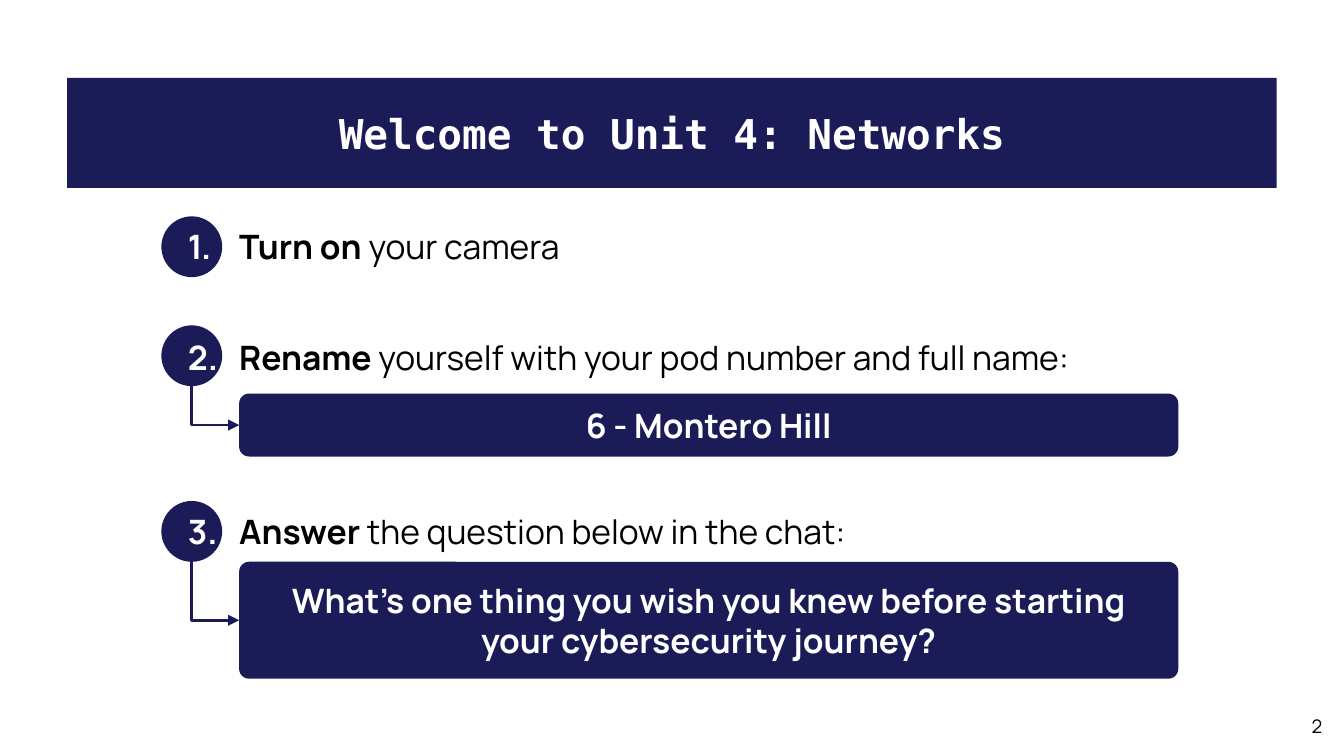
from dataclasses import dataclass
from typing import Optional

from lxml import etree
from pptx import Presentation
from pptx import util as u
from pptx.dml.color import RGBColor
from pptx.enum import shapes, text
from pptx.oxml import ns

COLORS = {"navy": "1B1C57", "white": "FFFFFF", "black": "000000"}
BODY_FONT = "Manrope"
TITLE_FONT = "DejaVu Sans Mono"
CIRCLE_LEFT, CIRCLE_SIZE = 3.05, 1.15
STEP_LEFT, STEP_WIDTH = 3.0, 19.3
ANSWER_LEFT, ANSWER_WIDTH, ANSWER_RADIUS = 4.52, 17.75, 0.19


@dataclass
class Answer:
    words: str
    top: float
    height: float


@dataclass
class Step:
    verb: str
    rest: str
    top: float
    height: float
    circle_top: float
    answer: Optional[Answer] = None


STEPS = [
    Step("Turn on ", "your camera", 3.68, 1.96, 4.09),
    Step("Rename ", "yourself with your pod number and full name:", 6.07, 1.37, 6.15,
         Answer("6 - Montero Hill", 7.44, 1.19)),
    Step("Answer ", "the question below in the chat:", 9.47, 1.14, 9.47,
         Answer("What's one thing you wish you knew before starting your cybersecurity journey?",
                10.62, 2.21)),
]


def color(name: str) -> RGBColor:
    return RGBColor.from_string(COLORS[name])


def add_element(parent, tag: str, **attributes: str):
    return etree.SubElement(parent, ns.qn(tag), attributes)


def place(shape, left: float, top: float, width: float, height: float) -> None:
    shape.left, shape.top = u.Cm(left), u.Cm(top)
    shape.width, shape.height = u.Cm(width), u.Cm(height)


def prepare_frame(shape):
    frame = shape.text_frame
    frame.word_wrap = True
    frame.auto_size = text.MSO_AUTO_SIZE.NONE
    frame.vertical_anchor = text.MSO_ANCHOR.MIDDLE
    frame.margin_left = frame.margin_right = u.Cm(0.25)
    frame.margin_top = frame.margin_bottom = u.Cm(0.25)
    para = frame.paragraphs[0]
    para.space_before = u.Pt(0)
    return para


def write(para, words: str, *, size: float = 18, font: str = BODY_FONT,
          fill: str = "white", bold: bool = True, align=text.PP_ALIGN.CENTER) -> None:
    para.alignment = align
    span = para.add_run()
    span.text = words
    span.font.size, span.font.name, span.font.bold = u.Pt(size), font, bold
    span.font.color.rgb = color(fill)


def paint(shape) -> None:
    shape.fill.solid()
    shape.fill.fore_color.rgb = color("navy")
    shape.line.fill.background()


def add_filled(page, kind, left: float, top: float, width: float, height: float):
    shape = page.shapes.add_shape(kind, *map(u.Cm, (left, top, width, height)))
    shape.shadow.inherit = False
    paint(shape)
    return shape


def fill_title(title) -> None:
    place(title, 1.27, 1.47, 22.86, 2.08)
    geometry = add_element(title.element.spPr, "a:prstGeom", prst="roundRect")
    guides = add_element(geometry, "a:avLst")
    add_element(guides, "a:gd", name="adj", fmla="val 15000")
    paint(title)
    write(prepare_frame(title), "Welcome to Unit 4: Networks", size=22, font=TITLE_FONT)


def add_arrow(page, left: float, top: float, right: float, bottom: float) -> None:
    across, down = right - left, bottom - top
    arrow = page.shapes.add_connector(
        shapes.MSO_CONNECTOR.ELBOW, *map(u.Cm, (left, top, right, bottom)))
    place(arrow, (left + right - down) / 2, (top + bottom - across) / 2, down, across)
    properties = arrow._element.spPr
    frame = properties.find(ns.qn("a:xfrm"))
    frame.set("rot", "16200000")
    frame.set("flipH", "1")
    properties.find(ns.qn("a:prstGeom")).set("prst", "bentConnector2")
    arrow.line.color.rgb = color("navy")
    arrow.line.width = u.Pt(1.5)
    add_element(properties.find(ns.qn("a:ln")), "a:tailEnd", type="triangle")
    add_element(properties, "a:effectLst")


def number_paragraph(para, number: int) -> None:
    properties = para._p.get_or_add_pPr()
    properties.set("marL", str(u.Cm(1.27)))
    properties.set("indent", str(u.Cm(-0.97)))
    bullet_color = add_element(properties, "a:buClr")
    add_element(bullet_color, "a:srgbClr", val=COLORS["white"])
    add_element(properties, "a:buFont", typeface=BODY_FONT)
    add_element(properties, "a:buAutoNum", type="arabicPeriod", startAt=str(number))


def add_step(page, body, number: int, step: Step) -> None:
    if step.answer:
        answer = step.answer
        middle = CIRCLE_SIZE / 2
        add_arrow(page, CIRCLE_LEFT + middle, step.circle_top + middle,
                  ANSWER_LEFT, answer.top + answer.height / 2)
        box = add_filled(page, shapes.MSO_SHAPE.ROUNDED_RECTANGLE,
                         ANSWER_LEFT, answer.top, ANSWER_WIDTH, answer.height)
        box.adjustments[0] = ANSWER_RADIUS / answer.height
        write(prepare_frame(box), answer.words)
    add_filled(page, shapes.MSO_SHAPE.OVAL,
               CIRCLE_LEFT, step.circle_top, CIRCLE_SIZE, CIRCLE_SIZE)
    place(body, STEP_LEFT, step.top, STEP_WIDTH, step.height)
    para = prepare_frame(body)
    number_paragraph(para, number)
    write(para, step.verb, fill="black", align=text.PP_ALIGN.LEFT)
    write(para, step.rest, fill="black", bold=False, align=text.PP_ALIGN.LEFT)
    page.shapes._spTree.append(body.element)


def main() -> None:
    deck = Presentation()
    deck.slide_width, deck.slide_height = u.Cm(25.4), u.Cm(14.29)
    page = deck.slides.add_slide(deck.slide_layouts.get_by_name("Comparison"))
    title, *bodies = list(page.placeholders)
    fill_title(title)
    for number, (body, step) in enumerate(zip(bodies, STEPS), start=1):
        add_step(page, body, number, step)
    for spare in bodies[len(STEPS):]:
        page.shapes._spTree.remove(spare.element)
    page_number = page.shapes.add_textbox(*map(u.Cm, (23.72, 13.31, 1.52, 0.84)))
    write(prepare_frame(page_number), "2", size=10, fill="black", bold=False,
          align=text.PP_ALIGN.RIGHT)
    deck.save("out.pptx")


if __name__ == "__main__":
    main()
